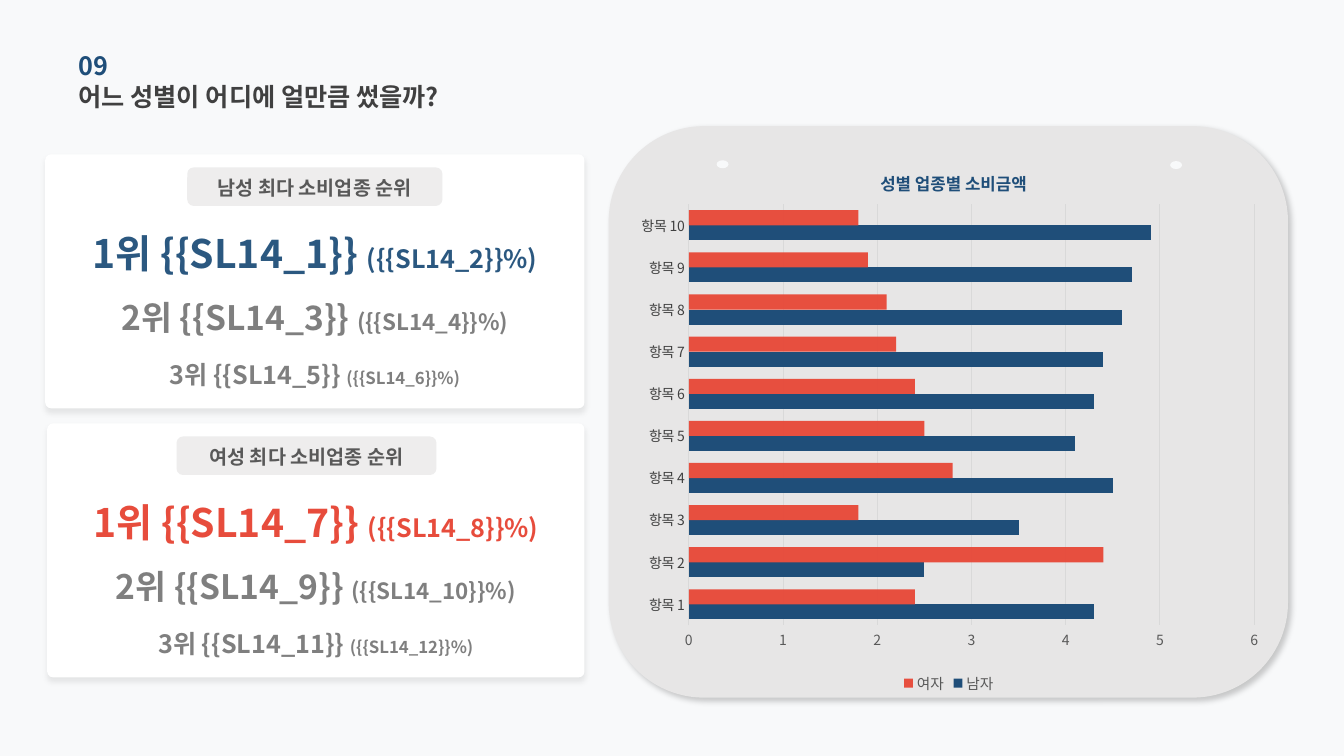
import pptx
import pptx.chart.data
import pptx.dml.color
import pptx.enum.chart
import pptx.enum.shapes
import pptx.enum.text
import pptx.oxml
import pptx.oxml.ns
import pptx.util

Cm = pptx.util.Cm
Pt = pptx.util.Pt
RGBColor = pptx.dml.color.RGBColor
SHAPE = pptx.enum.shapes.MSO_SHAPE
ALIGN = pptx.enum.text.PP_ALIGN
qn = pptx.oxml.ns.qn

FONT = "Noto Sans CJK KR"
BACKGROUND = RGBColor(0xF8, 0xF9, 0xFA)
PANEL = RGBColor(0xE7, 0xE6, 0xE6)
WHITE = RGBColor(0xFF, 0xFF, 0xFF)
PILL = RGBColor(0xD0, 0xCE, 0xCE)
GRID = RGBColor(0xD9, 0xD9, 0xD9)
NAVY = RGBColor(0x1F, 0x4E, 0x79)
BLUE = RGBColor(0x2B, 0x58, 0x80)
RED = RGBColor(0xE7, 0x4C, 0x3C)
DARK = RGBColor(0x40, 0x40, 0x40)
LABEL = RGBColor(0x59, 0x59, 0x59)
GRAY = RGBColor(0x7F, 0x7F, 0x7F)


def xml(tag, attrs="", inner=""):
    ns = pptx.oxml.ns.nsdecls("a", "c")
    return pptx.oxml.parse_xml(f"<{tag} {ns} {attrs}>{inner}</{tag}>")


def set_font(font, size, color, bold=False):
    font.name = FONT
    font.size = Pt(size)
    font.bold = bold
    font.color.rgb = color
    latin = font.fill._xPr.find(qn("a:latin"))
    latin.addnext(xml("a:ea", f'typeface="{FONT}"'))


def set_alpha(fill, percent):
    color = next(fill._xPr.iter(qn("a:srgbClr")))
    color.append(xml("a:alpha", f'val="{percent * 1000}"'))


def add_text(shapes, box, *parts, color=DARK, align=ALIGN.LEFT):
    tf = shapes.add_textbox(*map(Cm, box)).text_frame
    tf.word_wrap = True
    tf.margin_left = tf.margin_right = tf.margin_top = tf.margin_bottom = 0
    tf.vertical_anchor = pptx.enum.text.MSO_ANCHOR.MIDDLE
    p = tf.paragraphs[0]
    p.alignment = align
    for text, size in parts:
        r = p.add_run()
        r.text = text
        set_font(r.font, size, color, bold=True)


def add_box(shapes, kind, box, color, alpha=None, radius=None, shadow=None):
    sp = shapes.add_shape(kind, *map(Cm, box))
    sp.shadow.inherit = False
    sp.fill.solid()
    sp.fill.fore_color.rgb = color
    sp.line.fill.background()
    if alpha is not None:
        set_alpha(sp.fill, alpha)
    if radius is not None:
        sp.adjustments[0] = radius
    if shadow:
        opacity, angle = shadow
        effects = sp._element.spPr.find(qn("a:effectLst"))
        effects.append(xml(
            "a:outerShdw",
            f'blurRad="{Pt(4)}" dist="{Pt(3)}" dir="{angle * 60000}" algn="tl" rotWithShape="0"',
            f'<a:srgbClr val="000000"><a:alpha val="{opacity * 1000}"/></a:srgbClr>'))


def add_ranking(s, left, top, width, pill_left, pill_width, heading, color, ranks):
    shapes = s.shapes.add_group_shape().shapes
    add_box(shapes, SHAPE.ROUNDED_RECTANGLE, (left, top, width, 6.4), WHITE,
            radius=0.023, shadow=(8, 90))
    rows = ((1.87, 1.22, 28, 18, color), (3.03, 2.13, 24, 16, GRAY), (4.47, 2.13, 18, 12, GRAY))
    for (name, share), (offset, height, size, small, tint) in zip(ranks, rows):
        add_text(shapes, (left, top + offset, width, height), (name, size), (share, small),
                 color=tint, align=ALIGN.CENTER)
    add_box(shapes, SHAPE.ROUNDED_RECTANGLE, (pill_left, top + 0.33, pill_width, 0.97),
            PILL, alpha=36)
    add_text(shapes, (pill_left + 0.27, top + 0.33, pill_width - 0.54, 1.04), (heading, 14),
             color=LABEL, align=ALIGN.CENTER)


def set_layout(parent, index, inner=False, **place):
    for old in parent.findall(qn("c:layout")):
        parent.remove(old)
    target = '<c:layoutTarget val="inner"/>' if inner else ""
    modes = "".join(f'<c:{k}Mode val="edge"/>' for k in "xy")
    values = "".join(f'<c:{k} val="{v}"/>' for k, v in place.items())
    parent.insert(index, xml(
        "c:layout", inner=f"<c:manualLayout>{target}{modes}{values}</c:manualLayout>"))


def add_spending_chart(s):
    enums = pptx.enum.chart
    data = pptx.chart.data.CategoryChartData()
    data.categories = [f"항목 {i}" for i in range(1, 11)]
    data.add_series("남자", (4.3, 2.5, 3.5, 4.5, 4.1, 4.3, 4.4, 4.6, 4.7, 4.9))
    data.add_series("여자", (2.4, 4.4, 1.8, 2.8, 2.5, 2.4, 2.2, 2.1, 1.9, 1.8))
    box = map(Cm, (15.72, 3.61, 16.38, 13.97))
    chart = s.shapes.add_chart(enums.XL_CHART_TYPE.BAR_CLUSTERED, *box, data).chart
    chart.font.name = "Calibri"
    chart.font.size = Pt(10)
    chart.element.find(qn("c:chart")).addnext(
        xml("c:spPr", inner="<a:noFill/><a:ln><a:noFill/></a:ln>"))

    plot = chart.plots[0]
    plot.gap_width = 80
    plot.vary_by_categories = False
    for series, color in zip(plot.series, (NAVY, RED)):
        series.format.fill.solid()
        series.format.fill.fore_color.rgb = color
    set_alpha(plot.series[1].format.fill, 98)

    for axis, color in ((chart.category_axis, DARK), (chart.value_axis, LABEL)):
        axis.major_tick_mark = axis.minor_tick_mark = enums.XL_TICK_MARK.NONE
        set_font(axis.tick_labels.font, 10, color)
    chart.value_axis.minimum_scale = 0
    chart.value_axis.maximum_scale = 6
    chart.value_axis.major_unit = 1
    chart.value_axis.format.line.fill.background()
    for line in (chart.category_axis.format.line, chart.value_axis.major_gridlines.format.line):
        line.color.rgb = GRID
        line.width = Pt(0.75)

    chart.has_legend = True
    chart.legend.position = enums.XL_LEGEND_POSITION.BOTTOM
    chart.legend.include_in_layout = False
    set_font(chart.legend.font, 10.5, LABEL)

    chart.has_title = True
    r = chart.chart_title.text_frame.paragraphs[0].add_run()
    r.text = "성별 업종별 소비금액"
    set_font(r.font, 12, NAVY, bold=True)
    set_layout(chart.chart_title.element, 1, x=0.39, y=0.04)
    plot_area = chart.element.find(f"{qn('c:chart')}/{qn('c:plotArea')}")
    set_layout(plot_area, 0, inner=True, x=0.1, y=0.11, w=0.87, h=0.76)


def main():
    prs = pptx.Presentation()
    prs.slide_width = Cm(33.87)
    prs.slide_height = Cm(19.05)
    s = prs.slides.add_slide(prs.slide_layouts[6])
    s.background.fill.solid()
    s.background.fill.fore_color.rgb = BACKGROUND

    add_box(s.shapes, SHAPE.ROUNDED_RECTANGLE, (15.34, 3.18, 17.12, 14.4), PANEL,
            shadow=(20, 45))
    add_text(s.shapes, (1.98, 1.91, 11.48, 1.04), ("어느 성별이 어디에 얼만큼 썼을까?", 18))
    add_text(s.shapes, (1.98, 1.12, 11.48, 1.04), ("09", 18), color=NAVY)
    for left, top in ((18.06, 4.04), (29.49, 4.06)):
        add_box(s.shapes, SHAPE.OVAL, (left, top, 0.3, 0.2), BACKGROUND)

    add_ranking(s, 1.14, 3.89, 13.59, 4.72, 6.43, "남성 최다 소비업종 순위", BLUE, (
        ("1위 {{SL14_1}} ", "({{SL14_2}}%)"),
        ("2위 {{SL14_3}} ", "({{SL14_4}}%)"),
        ("3위 {{SL14_5}} ", "({{SL14_6}}%)")))
    add_ranking(s, 1.19, 10.67, 13.54, 4.45, 6.55, "여성 최다 소비업종 순위", RED, (
        ("1위 {{SL14_7}} ", "({{SL14_8}}%)"),
        ("2위 {{SL14_9}} ", "({{SL14_10}}%)"),
        ("3위 {{SL14_11}} ", "({{SL14_12}}%)")))
    add_spending_chart(s)
    prs.save("out.pptx")


if __name__ == "__main__":
    main()
